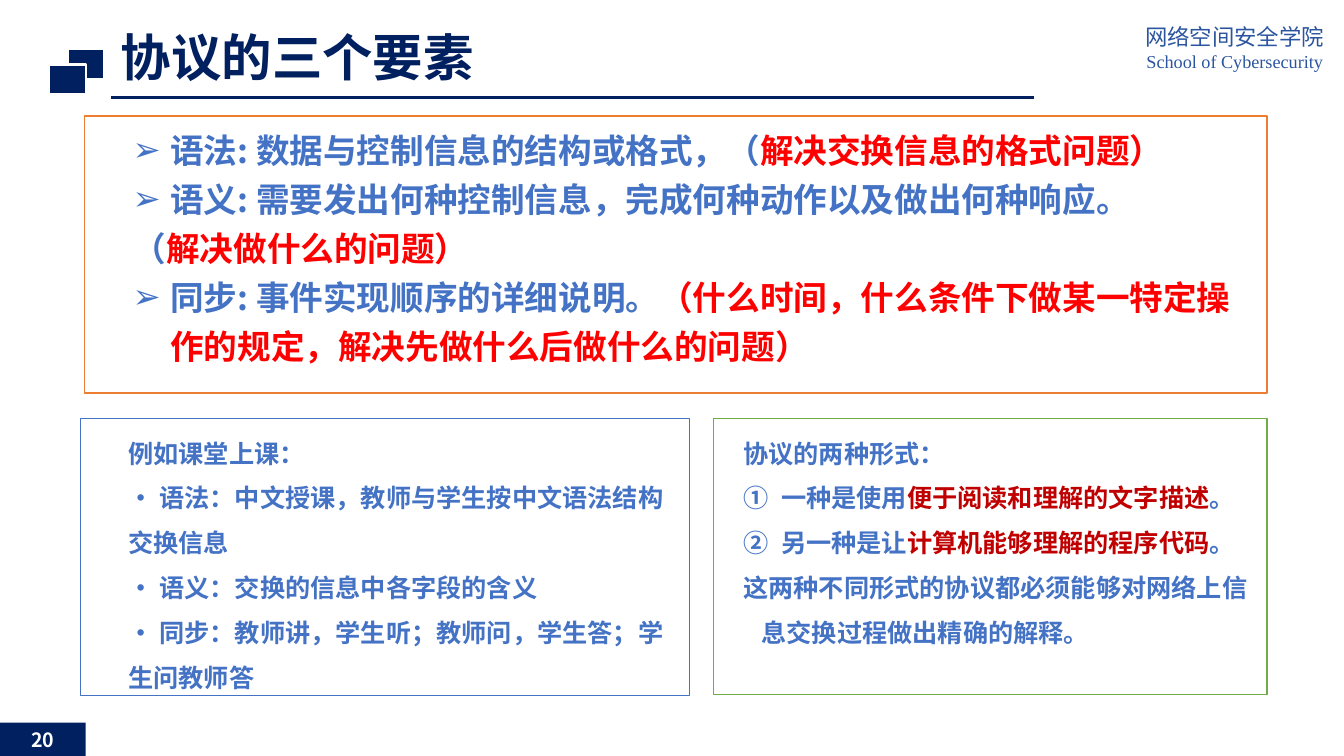
"""Build the slide on the three elements of a protocol."""
from lxml import etree
from pptx import Presentation
from pptx import util as u
from pptx.dml.color import RGBColor
from pptx.enum import shapes, text
from pptx.oxml import ns

COLORS = {"navy": "012060", "badge": "002060", "white": "FFFFFF", "school": "2C55A0",
          "blue": "4472C4", "red": "FF0000", "dark_red": "C00000",
          "orange": "ED7D31", "green": "70AD47"}
SANS = "Noto Sans CJK SC"
SERIF = "Times New Roman"


def rgb(name):
    return RGBColor.from_string(COLORS[name])


def write(frame, paragraphs, size, color="blue", font=SANS, bold=True, align="LEFT",
          anchor="TOP", spacing=None):
    """Fill a frame with (runs, indents, bullet) paragraphs."""
    frame.word_wrap = True
    frame.auto_size = text.MSO_AUTO_SIZE.NONE
    frame.vertical_anchor = text.MSO_ANCHOR[anchor]
    for index, (runs, (margin, indent), bullet) in enumerate(paragraphs):
        paragraph = frame.paragraphs[0] if index == 0 else frame.add_paragraph()
        properties = paragraph._p.get_or_add_pPr()
        properties.set("marL", str(u.Pt(margin)))
        properties.set("indent", str(u.Pt(indent)))
        tag, attributes = bullet or ("buNone", {})
        etree.SubElement(properties, ns.qn("a:" + tag), attributes)
        paragraph.alignment = text.PP_ALIGN[align]
        paragraph.space_before = u.Pt(0)
        paragraph.line_spacing = spacing
        for words, run_color in runs:
            run = paragraph.add_run()
            run.text = words
            run.font.size = u.Pt(size)
            run.font.bold = bold
            run.font.color.rgb = rgb(run_color or color)
            run.font.name = font
            etree.SubElement(run._r.get_or_add_rPr(), ns.qn("a:ea"), {"typeface": SANS})


def para(*runs, indents=(0, 0), bullet=None):
    """Describe a paragraph; a run is a string or a (string, color) pair."""
    pairs = [(run, None) if isinstance(run, str) else run for run in runs]
    return pairs, indents, bullet


class ProtocolSlide:
    """Hold the current slide and draw its elements in one style."""

    def __init__(self, slide):
        self.slide = slide

    def place(self, shape, box):
        shape.left, shape.top, shape.width, shape.height = map(u.Pt, box)
        return shape

    def paint(self, shape, fill, line, width):
        shape.fill.solid()
        shape.fill.fore_color.rgb = rgb(fill)
        if line:
            shape.line.color.rgb = rgb(line)
            shape.line.width = u.Pt(width)
        else:
            shape.line.fill.background()

    def placeholder(self, index, box):
        return self.place(self.slide.placeholders[index], box)

    def rectangle(self, box, fill="white", line=None, width=1):
        shape = self.slide.shapes.add_shape(shapes.MSO_SHAPE.RECTANGLE, *map(u.Pt, box))
        shape.shadow.inherit = False
        self.paint(shape, fill, line, width)
        return shape

    def textbox(self, box):
        return self.slide.shapes.add_textbox(*map(u.Pt, box))

    def rule(self, start, end, color, width):
        line = self.slide.shapes.add_connector(
            shapes.MSO_CONNECTOR.STRAIGHT, *map(u.Pt, start + end))
        line.line.color.rgb = rgb(color)
        line.line.width = u.Pt(width)
        etree.SubElement(line._element.spPr, ns.qn("a:effectLst"))


def main():
    deck = Presentation()
    deck.slide_width, deck.slide_height = u.Pt(960), u.Pt(540)
    page = ProtocolSlide(deck.slides.add_slide(deck.slide_layouts[1]))

    page.rule((79.2, 69.8), (738.7, 69.8), "navy", 2.25)
    for left, top in ((48.4, 35.3), (35.3, 46.1)):
        page.rectangle((left, top, 25.9, 20.9), "navy", "white", 1.5)

    school = page.textbox((804.2, 13, 155.5, 44)).text_frame
    write(school, [para("网络空间安全学院")], 16, "school", SERIF, False, "CENTER")
    school.add_paragraph()
    english = school.paragraphs[1]
    english.alignment = text.PP_ALIGN.CENTER
    motto = english.add_run()
    motto.text = "School of Cybersecurity"
    motto.font.size, motto.font.name = u.Pt(13), SERIF
    motto.font.color.rgb = rgb("school")

    title = page.placeholder(0, (79.2, 20.2, 659.5, 42.5))
    write(title.text_frame, [para("协议的三个要素")], 36, "navy", spacing=0.9)

    elements = page.placeholder(1, (60.5, 82.8, 844.6, 198))
    page.paint(elements, "white", "orange", 1)
    arrow = {"indents": (54, -27), "bullet": ("buChar", {"char": "➢"})}
    write(elements.text_frame, [
        para("语法: 数据与控制信息的结构或格式，（", ("解决交换信息的格式问题）", "red"), **arrow),
        para("语义: 需要发出何种控制信息，完成何种动作以及做出何种响应。", **arrow),
        para("（", ("解决做什么的问题）", "red"), indents=(27, 0)),
        para("同步: 事件实现顺序的详细说明。",
             ("（什么时间，什么条件下做某⼀特定操作的规定，解决先做什么后做什么的问题）", "red"),
             **arrow),
    ], 24, spacing=u.Pt(35))

    classroom = page.rectangle((57.6, 298.8, 434.9, 198), line="blue")
    write(classroom.text_frame, [para(line, indents=(27, 0)) for line in (
        "例如课堂上课：",
        "• 语法：中文授课，教师与学生按中文语法结构交换信息",
        "• 语义：交换的信息中各字段的含义",
        "• 同步：教师讲，学生听；教师问，学生答；学生问教师答",
    )], 18, spacing=u.Pt(32))

    forms = page.rectangle((509.8, 298.8, 395.3, 197.3), line="green")
    hanging = {"indents": (27, -13)}
    numbered = {"indents": (41, -27), "bullet": ("buAutoNum", {"type": "circleNumDbPlain"})}
    write(forms.text_frame, [
        para("协议的两种形式：", **hanging),
        para("⼀种是使用", ("便于阅读和理解的文字描述", "dark_red"), "。", **numbered),
        para("另⼀种是让", ("计算机能够理解的程序代码", "dark_red"), "。", **numbered),
        para("这两种不同形式的协议都必须能够对网络上信息交换过程做出精确的解释。", **hanging),
    ], 18, spacing=u.Pt(32))

    number = page.rectangle((0, 516.2, 61.2, 23.8), "badge")
    write(number.text_frame, [para("20")], 14, "white", align="CENTER", anchor="MIDDLE")

    deck.save("out.pptx")


if __name__ == "__main__":
    main()
